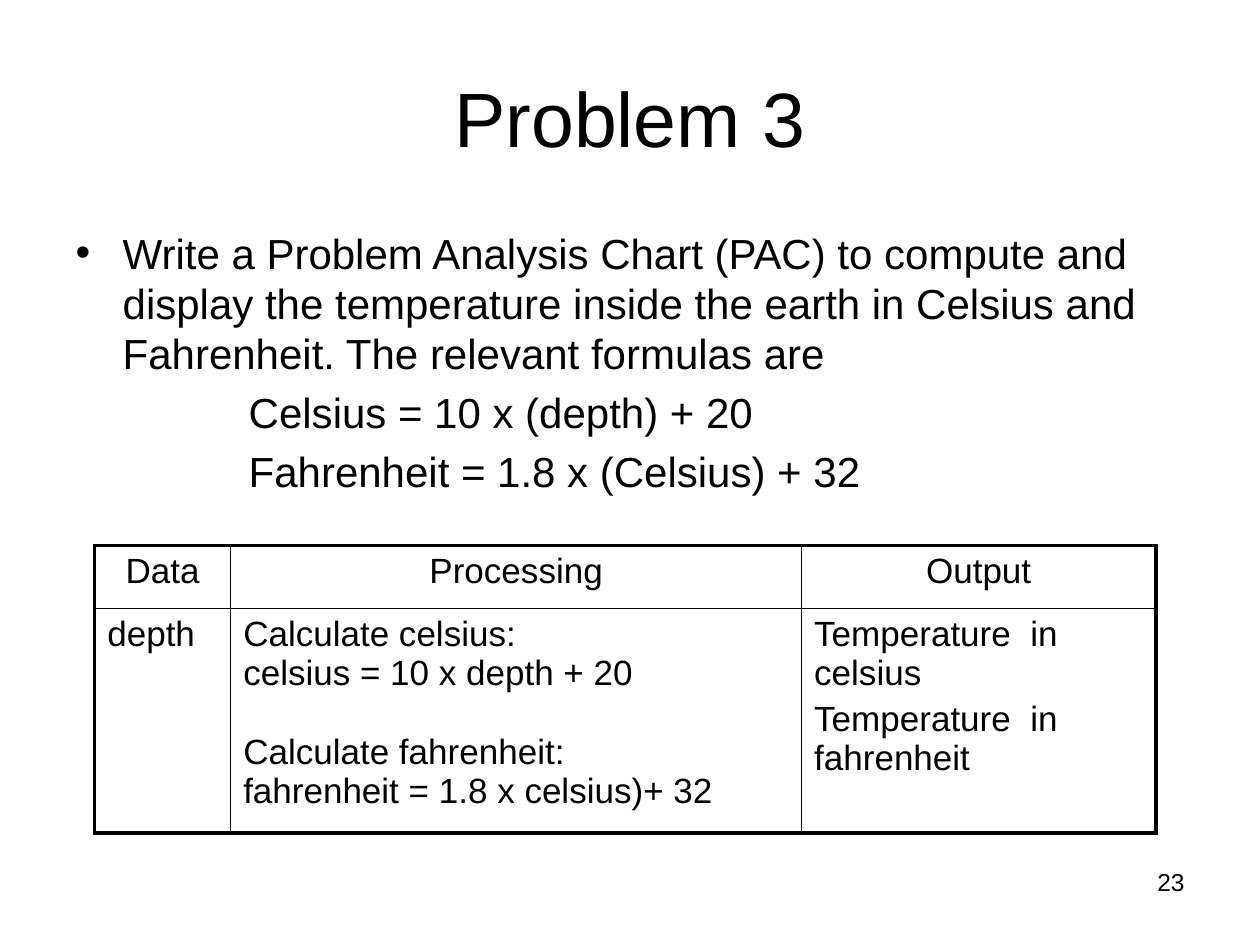
from pptx import Presentation
from pptx.dml.color import RGBColor as Rgb
from pptx.enum.text import MSO_ANCHOR as Anchor, MSO_AUTO_SIZE as Fit, PP_ALIGN as Align
from pptx.oxml.ns import qn
from pptx.util import Cm, Pt
from lxml.etree import SubElement as Sub

INK = {"text": "000000", "line": "000000", "back": "FFFFFF"}


def style(par, size, align=Align.LEFT, gap=0):
    par.alignment = align
    par.space_before = Pt(gap)
    for run in par.runs:
        run.font.name = "Arial"
        run.font.size = Pt(size)
        run.font.bold = False
        run.font.color.rgb = Rgb.from_string(INK["text"])


def edge(cell, side, width):
    line = Sub(cell._tc.get_or_add_tcPr(), qn(f"a:{side}"), w=str(Pt(width)))
    fill = Sub(line, qn("a:solidFill"))
    Sub(fill, qn("a:srgbClr"), val=INK["line"])


deck = Presentation()
deck.slide_width, deck.slide_height = Cm(25.4), Cm(19.05)
slide = deck.slides.add_slide(deck.slide_layouts[1])
title, body = slide.placeholders

# Title
title.left, title.top, title.width, title.height = Cm(1.27), Cm(0.76), Cm(22.86), Cm(3.18)
title.text_frame.text = "Problem 3"
title.text_frame.vertical_anchor = Anchor.MIDDLE
style(title.text_frame.paragraphs[0], 44, Align.CENTER)

# Task and formulas
body.left, body.top, body.width, body.height = Cm(1.27), Cm(4.45), Cm(22.86), Cm(12.57)
frame = body.text_frame
frame.auto_size = Fit.NONE
frame.text = "\n".join([
    "Write a Problem Analysis Chart (PAC) to compute and display the temperature "
    "inside the earth in Celsius and Fahrenheit. The relevant formulas are",
    "Celsius = 10 x (depth) + 20",
    "Fahrenheit = 1.8 x (Celsius) + 32",
])
for i, par in enumerate(frame.paragraphs):
    props = par._p.get_or_add_pPr()
    left, hang = (Cm(3.49), 0) if i else (Cm(0.95), -Cm(0.95))
    props.set("marL", str(left))
    props.set("indent", str(hang))
    if i:
        Sub(props, qn("a:buNone"))
    else:
        Sub(props, qn("a:buChar"), char="•")
    style(par, 24, gap=4.8 if i else 0)

# Analysis chart: each cell is a list of (text, space before)
cells = [
    [[("Data", 0)], [("Processing", 0)], [("Output", 0)]],
    [
        [("depth", 0)],
        [("Calculate celsius:", 0), ("celsius = 10 x depth + 20", 0),
         ("Calculate fahrenheit:", 22.5), ("fahrenheit = 1.8 x celsius)+ 32", 0)],
        [("Temperature  in celsius", 0), ("Temperature  in fahrenheit", 4)],
    ],
]
wide, high = [2.74, 11.51, 7.14], [1.27, 4.52]
table = slide.shapes.add_table(
    2, 3, Cm(1.91), Cm(11), Cm(sum(wide)), Cm(sum(high))).table
table.first_row = table.horz_banding = False
for col, size in zip(table.columns, wide):
    col.width = Cm(size)
for r, row in enumerate(cells):
    table.rows[r].height = Cm(high[r])
    for c, items in enumerate(row):
        cell = table.cell(r, c)
        cell.text_frame.text = "\n".join(text for text, gap in items)
        for par, (text, gap) in zip(cell.text_frame.paragraphs, items):
            style(par, 20, Align.LEFT if r else Align.CENTER, gap)
        outer = {"lnL": c == 0, "lnR": c == 2, "lnT": r == 0, "lnB": r == 1}
        for side, thick in outer.items():
            edge(cell, side, 2.25 if thick else 1)
        cell.fill.solid()
        cell.fill.fore_color.rgb = Rgb.from_string(INK["back"])

# Page number
page = slide.shapes.add_textbox(Cm(18.2), Cm(17.35), Cm(5.93), Cm(1.32)).text_frame
page.word_wrap = True
page.text = "23"
style(page.paragraphs[0], 14, Align.RIGHT)

deck.save("out.pptx")
